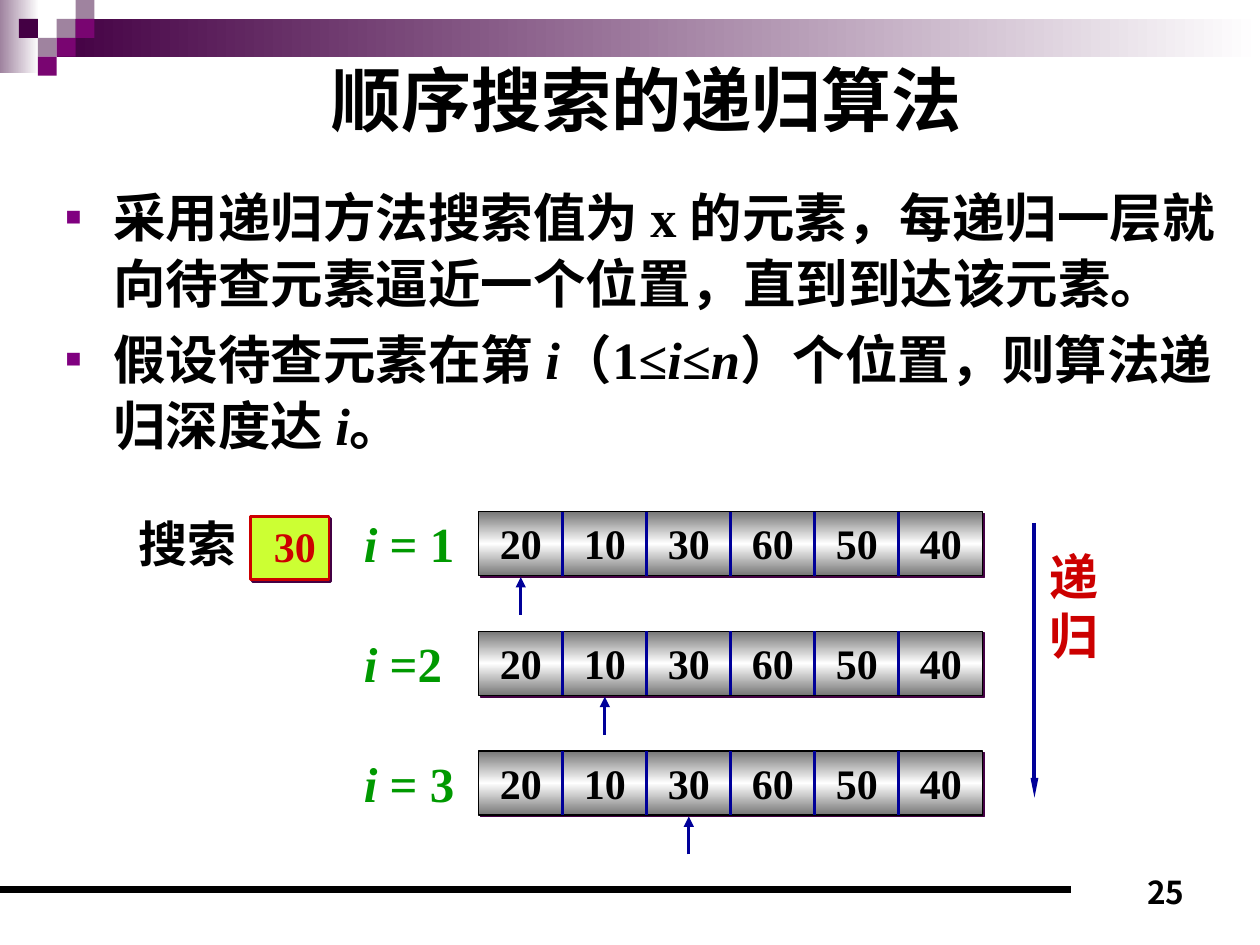
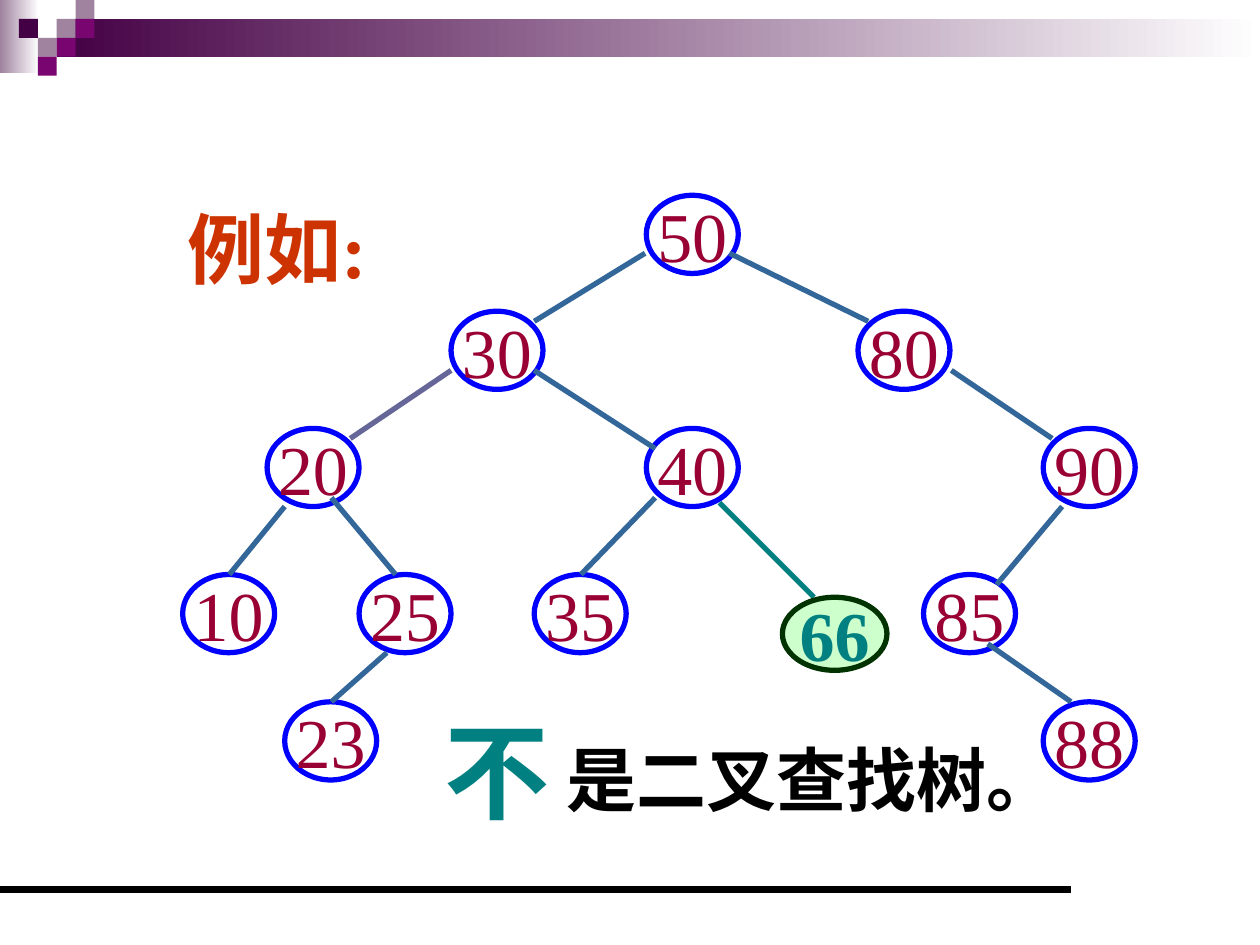
"""Build two slides: recursive sequential search and a search tree counterexample."""
import copy

import pptx
import pptx.util
from lxml import etree
from pptx.dml.color import RGBColor
from pptx.enum.shapes import MSO_CONNECTOR, MSO_SHAPE
from pptx.enum.text import MSO_ANCHOR, MSO_AUTO_SIZE, PP_ALIGN
from pptx.oxml.ns import qn
from pptx.util import Inches

BLACK = RGBColor(0x00, 0x00, 0x00)
WHITE = RGBColor(0xFF, 0xFF, 0xFF)
DARK_PLUM = RGBColor(0x44, 0x00, 0x44)
PLUM = RGBColor(0x79, 0x05, 0x71)
MAUVE = RGBColor(0x9F, 0x83, 0x9F)
BULLET_PURPLE = RGBColor(0x80, 0x00, 0x80)
GRAY = RGBColor(0x76, 0x76, 0x76)
NAVY = RGBColor(0x00, 0x00, 0x99)
GREEN = RGBColor(0x00, 0x99, 0x00)
RED = RGBColor(0xCC, 0x00, 0x00)
LIME = RGBColor(0xCC, 0xFF, 0x33)
ORANGE = RGBColor(0xCC, 0x33, 0x00)
BLUE = RGBColor(0x00, 0x00, 0xFF)
WINE = RGBColor(0x99, 0x00, 0x33)
STEEL = RGBColor(0x33, 0x66, 0x99)
SLATE = RGBColor(0x66, 0x66, 0x99)
TEAL = RGBColor(0x00, 0x80, 0x80)
PALE_GREEN = RGBColor(0xCC, 0xFF, 0xCC)
DARK_GREEN = RGBColor(0x00, 0x33, 0x00)

SERIF = "Times New Roman"
CJK = "Noto Sans CJK JP"

SQUARE = 0.15
CHECKER = [(3, 1, MAUVE), (4, 0, MAUVE), (4, 1, PLUM), (2, 2, MAUVE),
           (1, 1, DARK_PLUM), (3, 2, PLUM), (2, 3, PLUM)]

ARRAY = [20, 10, 30, 60, 50, 40]
ARRAY_LEFT, ARRAY_TOP, ARRAY_WIDTH, ARRAY_HEIGHT = 3.8, 4.06, 4, 0.51
ROW_STEP = 0.95
STEP_LABELS = ["*i* = 1", "*i* =2", "*i* = 3"]

NODES = [(50, 5.13, 1.55), (30, 3.58, 2.47), (80, 6.81, 2.47), (20, 2.12, 3.4),
         (90, 8.28, 3.4), (10, 1.45, 4.56), (85, 7.33, 4.56), (40, 5.13, 3.4),
         (35, 4.24, 4.56), (25, 2.85, 4.56), (23, 2.26, 5.57), (88, 8.28, 5.57)]
EDGES = [((5.12, 2.01), (4.24, 2.55), STEEL), ((3.58, 2.94), (2.78, 3.48), SLATE),
         ((5.79, 2.01), (6.89, 2.55), STEEL), ((4.24, 2.94), (5.2, 3.56), STEEL),
         ((2.26, 4.02), (1.82, 4.56), STEEL), ((2.63, 3.95), (3.14, 4.56), STEEL),
         ((3.07, 5.18), (2.63, 5.57), STEEL), ((5.2, 3.95), (4.61, 4.56), STEEL),
         ((7.55, 2.94), (8.35, 3.48), STEEL), ((8.43, 4.02), (7.91, 4.64), STEEL),
         ((7.84, 5.11), (8.5, 5.57), STEEL), ((5.71, 3.99), (6.46, 4.74), TEAL)]


def format_run(run, size, color, bold=True, font=SERIF):
    """Set size, colour, weight and both typefaces of a run."""
    run.font.size = pptx.util.Pt(size)
    run.font.color.rgb = color
    run.font.bold = bold
    run.font.name = font
    latin = run.font._element.find(qn("a:latin"))
    east_asian = etree.Element(qn("a:ea"), typeface=CJK)
    latin.addnext(east_asian)


def write_text(text_frame, text, size, color, bold=True, font=SERIF, align=PP_ALIGN.LEFT):
    """Fill a frame, one paragraph per line, with *starred* parts in italics."""
    text_frame.text = text
    for paragraph in text_frame.paragraphs:
        parts = paragraph.text.split("*")
        paragraph.text = ""
        paragraph.alignment = align
        for index, part in enumerate(parts):
            if part:
                run = paragraph.add_run()
                run.text = part
                format_run(run, size, color, bold, font)
                run.font.italic = index % 2 == 1


def add_text(slide, left, top, width, height, text, size, color,
             font=SERIF, align=PP_ALIGN.LEFT, anchor=MSO_ANCHOR.TOP):
    """Add an unwrapped bold text box."""
    box = slide.shapes.add_textbox(Inches(left), Inches(top), Inches(width), Inches(height))
    box.text_frame.word_wrap = False
    box.text_frame.vertical_anchor = anchor
    write_text(box.text_frame, text, size, color, font=font, align=align)


def add_block(slide, left, top, width, height, fill=None, line=None, line_width=1,
              kind=MSO_SHAPE.RECTANGLE):
    """Add a preset shape with a plain fill and outline, or none."""
    shape = slide.shapes.add_shape(kind, Inches(left), Inches(top), Inches(width), Inches(height))
    shape.shadow.inherit = False
    if fill is None:
        shape.fill.background()
    else:
        shape.fill.solid()
        shape.fill.fore_color.rgb = fill
    if line is None:
        shape.line.fill.background()
    else:
        shape.line.color.rgb = line
        shape.line.width = pptx.util.Pt(line_width)
    return shape


def set_gradient(shape, colors, angle=0):
    """Give a shape a linear gradient with evenly spaced colours."""
    shape.fill.gradient()
    shape.fill.gradient_angle = angle
    stop_list = shape._element.spPr.find(qn("a:gradFill")).find(qn("a:gsLst"))
    while len(stop_list) < len(colors):
        stop_list.append(copy.deepcopy(stop_list[0]))
    for index, (stop, color) in enumerate(zip(shape.fill.gradient_stops, colors)):
        stop.color.rgb = color
        stop.position = index / (len(colors) - 1)


def add_shadow(shape):
    """Cast a hard plum shadow down to the right."""
    effects = shape._element.spPr.find(qn("a:effectLst"))
    shadow = etree.SubElement(effects, qn("a:outerShdw"), dist="17780", dir="2700000",
                              algn="ctr", rotWithShape="0")
    etree.SubElement(shadow, qn("a:srgbClr"), val=str(DARK_PLUM))


def add_line(slide, start, end, color, width, head=None):
    """Add a straight line; head is the arrowhead's width and length."""
    connector = slide.shapes.add_connector(
        MSO_CONNECTOR.STRAIGHT, *(Inches(length) for length in (*start, *end)))
    connector.line.color.rgb = color
    connector.line.width = pptx.util.Pt(width)
    properties = connector._element.spPr
    if head:
        etree.SubElement(properties.find(qn("a:ln")), qn("a:tailEnd"),
                         type="triangle", w=head[0], len=head[1])
    etree.SubElement(properties, qn("a:effectLst"))


def add_frame(slide):
    """Draw the corner checker, the top band and the footer rule."""
    set_gradient(add_block(slide, 0, 0, 0.31, 0.58, WHITE), [MAUVE, WHITE])
    set_gradient(add_block(slide, 0.45, SQUARE, 9.55, 0.3, WHITE), [DARK_PLUM, WHITE])
    for column, row, color in CHECKER:
        add_block(slide, column * SQUARE, row * SQUARE, SQUARE, SQUARE, color)
    add_line(slide, (0, 7.06), (8.5, 7.06), BLACK, 4.5)


def place(shape, left, top, width, height):
    """Move and size a placeholder."""
    shape.left, shape.top = Inches(left), Inches(top)
    shape.width, shape.height = Inches(width), Inches(height)
    shape.text_frame.auto_size = MSO_AUTO_SIZE.NONE


def add_bullet(paragraph):
    """Give a paragraph a small purple square bullet and a hanging indent."""
    properties = paragraph._p.get_or_add_pPr()
    properties.set("marL", str(Inches(0.38)))
    properties.set("indent", str(-Inches(0.38)))
    color = etree.SubElement(properties, qn("a:buClr"))
    etree.SubElement(color, qn("a:srgbClr"), val=str(BULLET_PURPLE))
    etree.SubElement(properties, qn("a:buSzPct"), val="50000")
    etree.SubElement(properties, qn("a:buFont"), typeface="Arial")
    etree.SubElement(properties, qn("a:buChar"), char="■")


def fill_body(body, text):
    """Write the bulleted list."""
    place(body, 0.42, 1.39, 9.58, 2.32)
    write_text(body.text_frame, text, 30, BLACK)
    for index, paragraph in enumerate(body.text_frame.paragraphs):
        add_bullet(paragraph)
        paragraph.line_spacing = 1.05
        paragraph.space_before = pptx.util.Pt(5.6 if index else 0)


def add_array_row(slide, step):
    """Draw the array at one recursion step, its label and the pointer below."""
    top = ARRAY_TOP + step * ROW_STEP
    bottom = top + ARRAY_HEIGHT
    cell = ARRAY_WIDTH / len(ARRAY)
    bar = add_block(slide, ARRAY_LEFT, top, ARRAY_WIDTH, ARRAY_HEIGHT, WHITE, BLACK, 0.75)
    set_gradient(bar, [GRAY, WHITE, GRAY], 90)
    add_shadow(bar)
    for index, value in enumerate(ARRAY):
        left = ARRAY_LEFT + index * cell
        add_text(slide, left, top, cell, 0.5, str(value), 24, BLACK, align=PP_ALIGN.CENTER)
        if index:
            add_line(slide, (left, top), (left, bottom), NAVY, 1.5)
    pointer = ARRAY_LEFT + (step + 0.5) * cell
    add_line(slide, (pointer, bottom + 0.31), (pointer, bottom + 0.01), NAVY, 1.5, ("med", "med"))
    add_text(slide, 2.79, top - 0.03, 1, 0.57, STEP_LABELS[step], 28, GREEN)


def add_node(slide, left, top, width, height, value, color, outline, fill=None, bold=False):
    """Draw one tree node with its value."""
    node = add_block(slide, left, top, width, height, fill, outline, 3, MSO_SHAPE.OVAL)
    node.text_frame.word_wrap = False
    node.text_frame.vertical_anchor = MSO_ANCHOR.MIDDLE
    write_text(node.text_frame, str(value), 40, color, bold, align=PP_ALIGN.CENTER)


def build_search_slide(presentation):
    """Explain recursive sequential search with three array steps."""
    slide = presentation.slides.add_slide(presentation.slide_layouts[1])
    add_frame(slide)
    title = slide.shapes.title
    place(title, 0.63, 0.21, 9, 1.14)
    title.text_frame.vertical_anchor = MSO_ANCHOR.MIDDLE
    write_text(title.text_frame, "顺序搜索的递归算法", 40, BLACK, font="Arial",
               align=PP_ALIGN.CENTER)
    fill_body(slide.placeholders[1],
              "采用递归方法搜索值为 x 的元素，每递归一层就向待查元素逼近一个位置，直到到达该元素。\n"
              "假设待查元素在第 *i*（1≤*i*≤*n*）个位置，则算法递归深度达 *i*。")
    add_text(slide, 1, 4.03, 0.98, 0.57, "搜索", 28, BLACK)
    target = add_block(slide, 1.99, 4.1, 0.62, 0.5, LIME, RED, 1.5)
    add_shadow(target)
    add_text(slide, 2.03, 4.08, 0.62, 0.5, "30", 24, RED, align=PP_ALIGN.CENTER)
    for step in range(len(STEP_LABELS)):
        add_array_row(slide, step)
    add_line(slide, (8.21, 4.15), (8.21, 6.33), NAVY, 2.25, ("sm", "lg"))
    add_text(slide, 8.23, 4.29, 0.59, 1.04, "递\n归", 28, RED)
    add_text(slide, 7.17, 6.78, 2.33, 0.5, "25", 18, BLACK, CJK, PP_ALIGN.RIGHT,
             MSO_ANCHOR.BOTTOM)


def build_tree_slide(presentation):
    """Show a tree that one misplaced node keeps from being a search tree."""
    slide = presentation.slides.add_slide(presentation.slide_layouts[6])
    add_frame(slide)
    add_text(slide, 1.39, 1.55, 1.77, 0.84, "例如:", 44, ORANGE)
    add_text(slide, 4.4, 5.8, 4.08, 0.77, "是二叉查找树。", 40, BLACK)
    for value, left, top in NODES:
        add_node(slide, left, top, 0.73, 0.62, value, WINE, BLUE)
    for start, end, color in EDGES:
        add_line(slide, start, end, color, 3)
    add_node(slide, 6.21, 4.74, 0.83, 0.58, 66, TEAL, DARK_GREEN, PALE_GREEN, True)
    add_text(slide, 3.43, 5.56, 1.03, 1.1, "不", 60, TEAL)


def main():
    """Build and save the presentation."""
    presentation = pptx.Presentation()
    presentation.slide_width = Inches(10)
    presentation.slide_height = Inches(7.5)
    build_search_slide(presentation)
    build_tree_slide(presentation)
    presentation.save("out.pptx")


if __name__ == "__main__":
    main()
